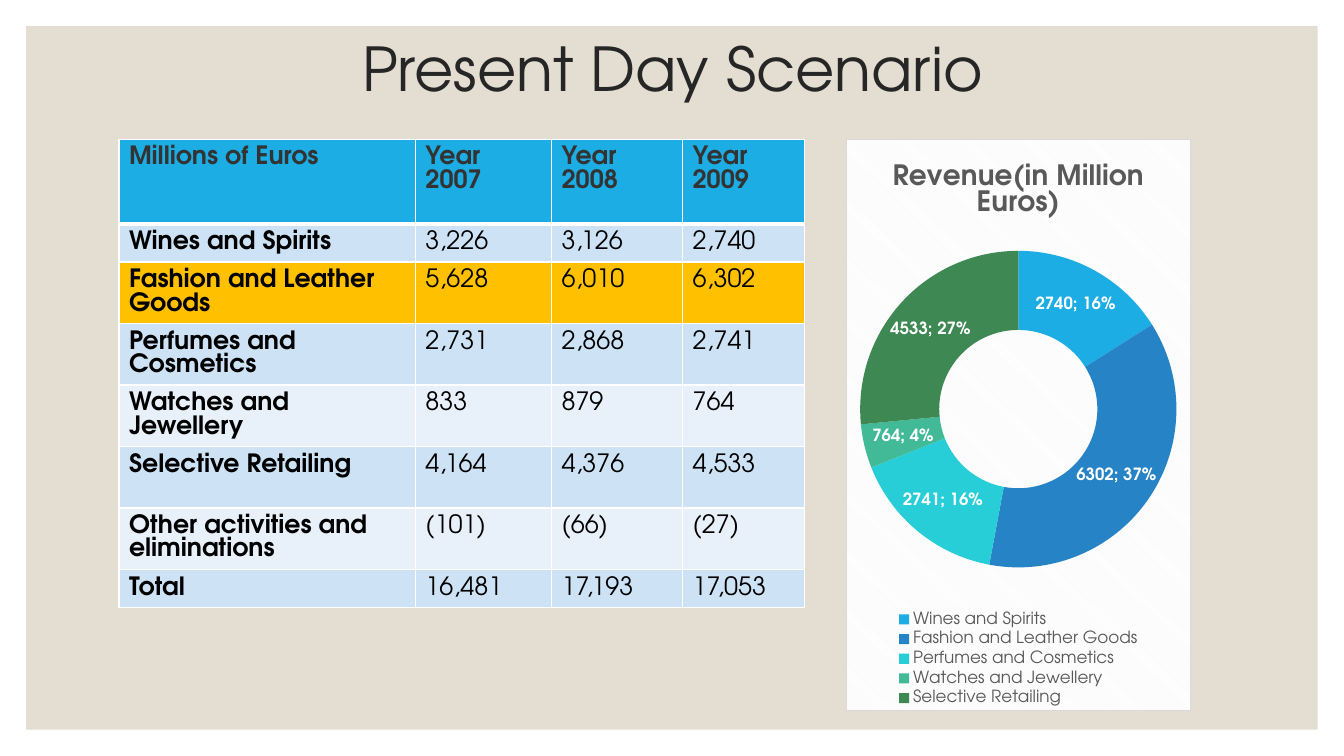
from lxml import etree
from pptx import Presentation
from pptx.chart.data import CategoryChartData
from pptx.dml.color import RGBColor
from pptx.enum.chart import XL_CHART_TYPE as ChartType, XL_LEGEND_POSITION as LegendPos
from pptx.enum.shapes import MSO_SHAPE as Shape
from pptx.enum.text import MSO_ANCHOR as Anchor, MSO_AUTO_SIZE as AutoSize, PP_ALIGN as Align
from pptx.oxml import parse_xml
from pptx.oxml.ns import nsdecls, qn
from pptx.util import Inches, Pt

TITLE = "Present Day Scenario"
HEADER = ("Millions of Euros", "Year 2007", "Year 2008", "Year 2009")
ROWS = [
    ("Wines and Spirits", "3,226", "3,126", "2,740"),
    ("Fashion and Leather Goods", "5,628", "6,010", "6,302"),
    ("Perfumes and Cosmetics", "2,731", "2,868", "2,741"),
    ("Watches and Jewellery", "833", "879", "764"),
    ("Selective Retailing", "4,164", "4,376", "4,533"),
    ("Other activities and eliminations", "(101)", "(66)", "(27)"),
    ("Total", "16,481", "17,193", "17,053"),
]
HIGHLIGHT_ROW = 2
CHART_TITLE = "Revenue(in Million Euros)"
REVENUE = {
    "Wines and Spirits": 2740,
    "Fashion and Leather Goods": 6302,
    "Perfumes and Cosmetics": 2741,
    "Watches and Jewellery": 764,
    "Selective Retailing": 4533,
}

FONT = "TeX Gyre Adventor"
SAND = RGBColor(0xE3, 0xDE, 0xD1)
INK = RGBColor(0x26, 0x26, 0x26)
HEADER_INK = RGBColor(0x33, 0x33, 0x33)
BLACK = RGBColor(0, 0, 0)
GREY = RGBColor(0x59, 0x59, 0x59)
WHITE = RGBColor(0xFF, 0xFF, 0xFF)
BLUE = RGBColor(0x1C, 0xAD, 0xE4)
GOLD = RGBColor(0xFF, 0xC0, 0x00)
BANDS = (RGBColor(0xE8, 0xF1, 0xFA), RGBColor(0xCD, 0xE3, 0xF5))
SLICES = (BLUE, RGBColor(0x26, 0x83, 0xC6), RGBColor(0x27, 0xCE, 0xD7),
          RGBColor(0x42, 0xBA, 0x97), RGBColor(0x3E, 0x88, 0x53))

SLIDE_W, SLIDE_H = 13.33, 7.5
MARGIN = 0.26
TOP = 1.38
COLS = (2.94, 1.35, 1.3, 1.21)
HEADER_H, ONE_LINE, TWO_LINES = 0.84, 0.38, 0.61
ROW_HEIGHTS = [HEADER_H, ONE_LINE] + [TWO_LINES] * 5 + [ONE_LINE]
RING_SHARES = {"x": 0.04, "y": 0.195, "w": 0.92, "h": 0.555}


def style(font, size, color, bold=False):
    for name, value in {"name": FONT, "size": Pt(size), "bold": bold}.items():
        setattr(font, name, value)
    font.color.rgb = color


def add_borders(cell, bottom):
    tc_pr = cell._tc.get_or_add_tcPr()
    for side, width in {"L": 1, "R": 1, "T": 1, "B": bottom}.items():
        tc_pr.append(parse_xml(
            f'<a:ln{side} {nsdecls("a")} w="{Pt(width)}"><a:solidFill>'
            f'<a:srgbClr val="{WHITE}"/></a:solidFill></a:ln{side}>'))


def add_frame(s):
    frame = s.shapes.add_shape(
        Shape.RECTANGLE, Inches(MARGIN), Inches(MARGIN),
        Inches(SLIDE_W - 2 * MARGIN), Inches(SLIDE_H - 2 * MARGIN))
    frame.shadow.inherit = False
    frame.fill.solid()
    frame.fill.fore_color.rgb = SAND
    frame.line.fill.background()
    s.shapes._spTree.insert(2, frame._element)


def add_title(s):
    title = s.shapes.title
    box = {"left": 1.17, "top": 0.31, "width": 11, "height": 0.81}
    for name, value in box.items():
        setattr(title, name, Inches(value))
    tf = title.text_frame
    tf.text = TITLE
    tf.auto_size = AutoSize.NONE
    tf.vertical_anchor = Anchor.MIDDLE
    p = tf.paragraphs[0]
    p.alignment = Align.CENTER
    p.line_spacing = 0.9
    style(p.runs[0].font, 43.2, INK)


def add_revenue_table(s):
    table = s.shapes.add_table(
        len(ROW_HEIGHTS), len(COLS), Inches(1.18), Inches(TOP),
        Inches(sum(COLS)), Inches(sum(ROW_HEIGHTS))).table
    for column, width in zip(table.columns, COLS):
        column.width = Inches(width)
    for row, height in zip(table.rows, ROW_HEIGHTS):
        row.height = Inches(height)
    for i, values in enumerate([HEADER] + ROWS):
        is_header = i == 0
        fill = BLUE if is_header else GOLD if i == HIGHLIGHT_ROW else BANDS[i % 2]
        for j, value in enumerate(values):
            cell = table.cell(i, j)
            cell.text = value
            cell.margin_top = cell.margin_bottom = Inches(0.07)
            # The wider right margin sets each year on its own line.
            cell.margin_right = Inches(0.2 if is_header else 0.1)
            add_borders(cell, 3 if is_header else 1)
            cell.fill.solid()
            cell.fill.fore_color.rgb = fill
            style(cell.text_frame.paragraphs[0].runs[0].font, 18,
                  HEADER_INK if is_header else BLACK, is_header or j == 0)


def add_revenue_chart(s):
    data = CategoryChartData()
    data.categories = list(REVENUE)
    data.add_series("Series 1", list(REVENUE.values()))
    chart = s.shapes.add_chart(
        ChartType.DOUGHNUT, Inches(8.39), Inches(TOP),
        Inches(3.42), Inches(5.67), data).chart
    style(chart.font, 10, BLACK)
    chart.has_title = True
    tf = chart.chart_title.text_frame
    tf.text = CHART_TITLE
    style(tf.paragraphs[0].runs[0].font, 20, GREY, True)
    chart.has_legend = True
    chart.legend.position = LegendPos.BOTTOM
    chart.legend.include_in_layout = False
    style(chart.legend.font, 12, GREY)

    plot = chart.plots[0]
    plot.vary_by_categories = True
    for k, color in enumerate(SLICES):
        point = plot.series[0].points[k].format
        point.fill.solid()
        point.fill.fore_color.rgb = color
        point.line.fill.background()
    labels = plot.series[0].data_labels
    labels.show_value = labels.show_percentage = True
    style(labels.font, 12, WHITE, True)
    format_chart_xml(chart, labels)


def format_chart_xml(chart, labels):
    """Set the label separator, ring size and place, and the striped backdrop."""
    separator = etree.Element(qn("c:separator"))
    separator.text = "; "
    labels._element.find(qn("c:showBubbleSize")).addnext(separator)

    space = chart._chartSpace
    next(space.iter(qn("c:holeSize"))).set("val", "70")
    plot_area = next(space.iter(qn("c:plotArea")))
    for old in plot_area.findall(qn("c:layout")):
        plot_area.remove(old)
    shares = "".join(f'<c:{k} val="{v}"/>' for k, v in RING_SHARES.items())
    plot_area.insert(0, parse_xml(
        f'<c:layout {nsdecls("c")}><c:manualLayout><c:layoutTarget val="inner"/>'
        f'<c:xMode val="edge"/><c:yMode val="edge"/>{shares}'
        f'</c:manualLayout></c:layout>'))
    space.find(qn("c:chart")).addnext(parse_xml(
        f'<c:spPr {nsdecls("c", "a")}><a:pattFill prst="dkDnDiag">'
        f'<a:fgClr><a:srgbClr val="F2F2F2"/></a:fgClr>'
        f'<a:bgClr><a:srgbClr val="{WHITE}"/></a:bgClr></a:pattFill>'
        f'<a:ln w="{Pt(0.75)}"><a:solidFill><a:srgbClr val="D9D9D9"/>'
        f'</a:solidFill></a:ln></c:spPr>'))


def main():
    prs = Presentation()
    prs.slide_width, prs.slide_height = Inches(SLIDE_W), Inches(SLIDE_H)
    s = prs.slides.add_slide(prs.slide_layouts[5])
    add_frame(s)
    add_title(s)
    add_revenue_table(s)
    add_revenue_chart(s)
    prs.save("out.pptx")


if __name__ == "__main__":
    main()
